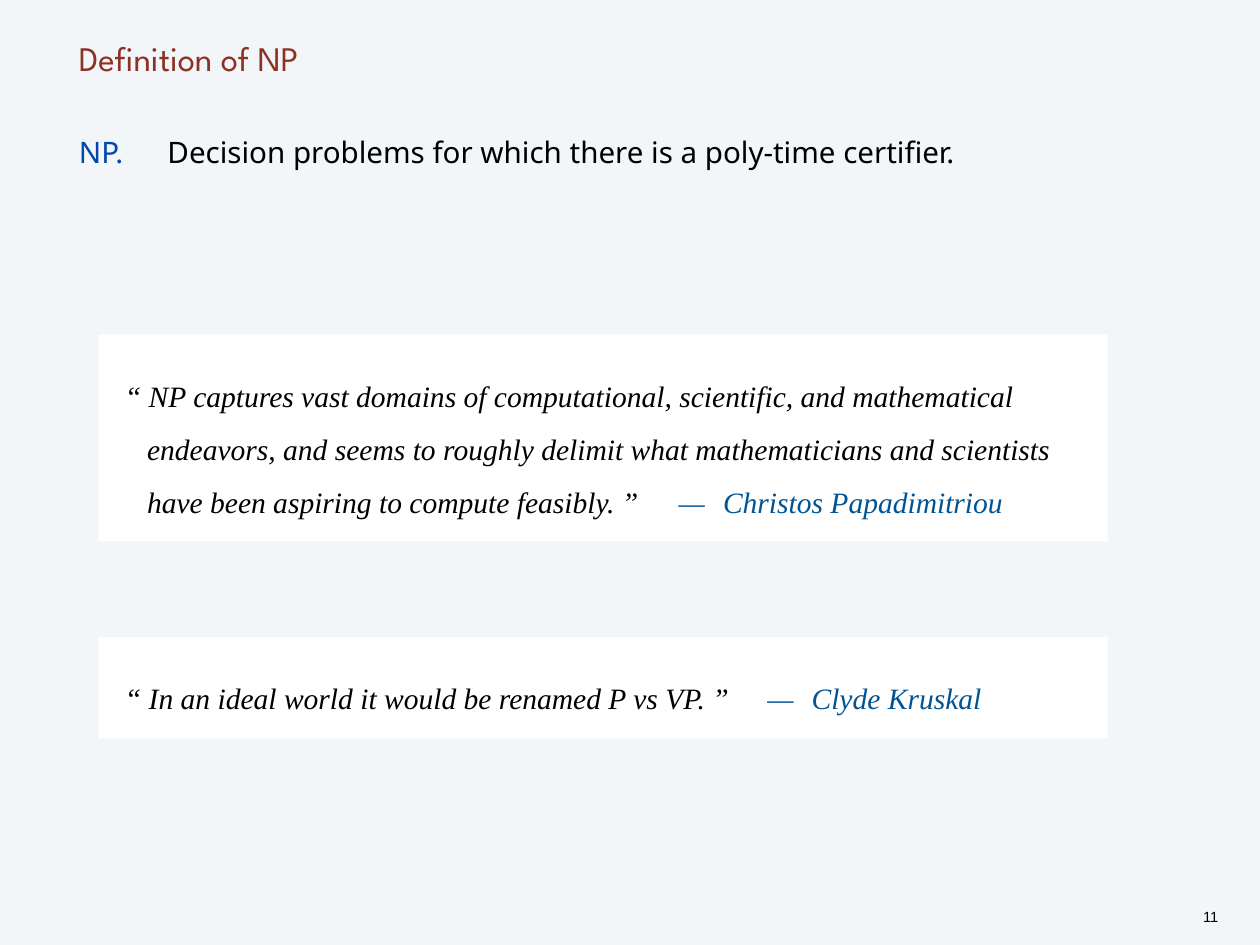
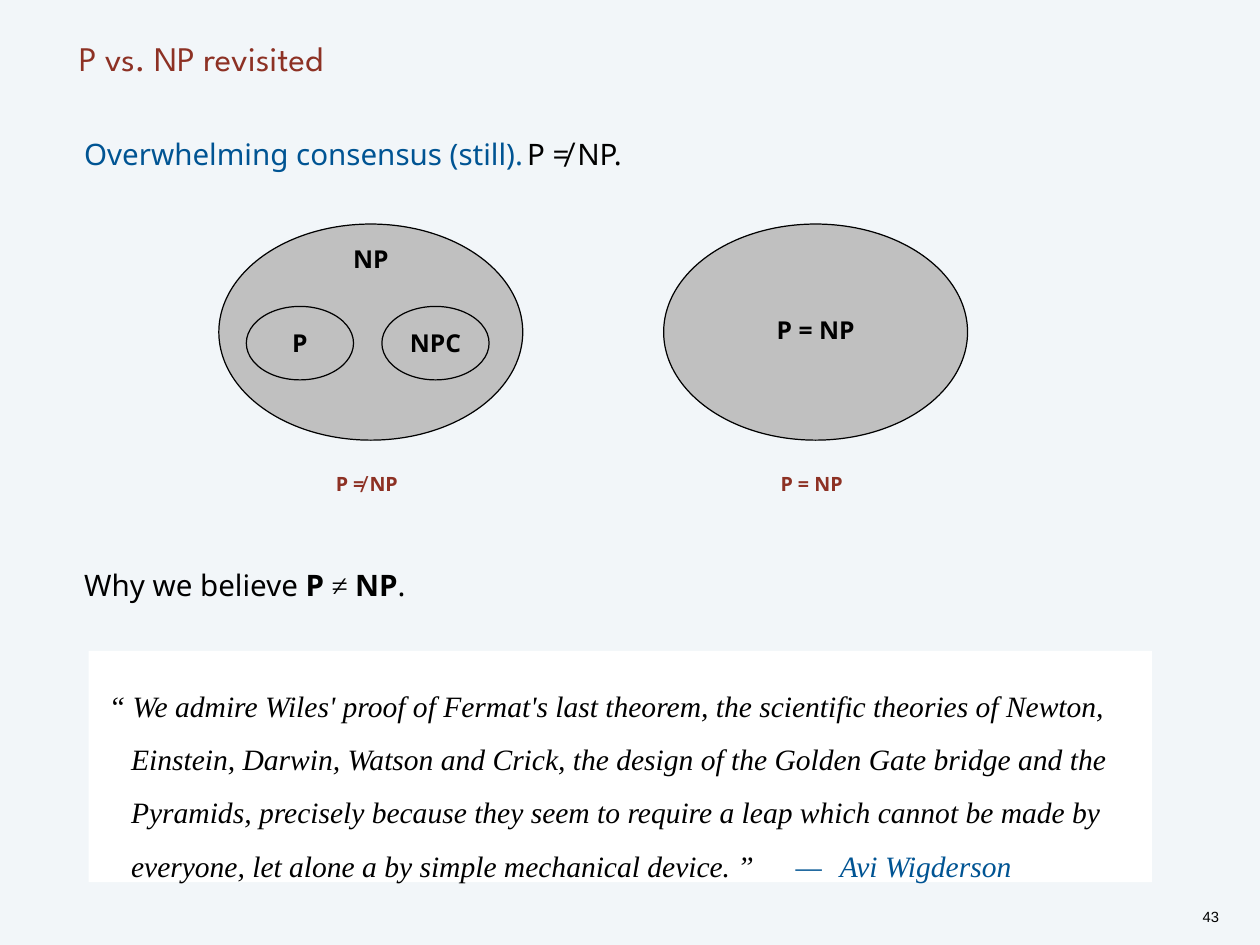
"""Build two lecture slides on the definition of NP and on P versus NP."""
from lxml.etree import SubElement
from pptx import Presentation
from pptx.dml.color import RGBColor
from pptx.enum.shapes import MSO_SHAPE
from pptx.enum.text import MSO_ANCHOR, PP_ALIGN
from pptx.oxml.ns import qn
from pptx.util import Inches, Pt

WIDTH, HEIGHT = 14.22, 10.67
MARGIN, CONTENT_WIDTH = 0.89, 12.44
BACKGROUND = RGBColor(0xF2, 0xF6, 0xF9)
BLACK = RGBColor(0, 0, 0)
WHITE = RGBColor(0xFF, 0xFF, 0xFF)
GRAY = RGBColor(0xC0, 0xC0, 0xC0)
RED = RGBColor(0x8D, 0x31, 0x24)
BLUE = RGBColor(0, 0x48, 0xAA)
TEAL = RGBColor(0, 0x54, 0x93)
SANS, SERIF = "Noto Sans", "Times New Roman"

SLIDES = [
    {
        "title": "Definition of NP",
        "number": "11",
        "body": [
            {"runs": [("NP.\t", {"color": BLUE}),
                      ("Decision problems for which there is a poly-time certifier.", {})],
             "spacing": Pt(38), "tabs": [0.66]},
        ],
        "quotes": [
            {"place": (1.11, 3.78, 11.39, 2.33), "inset": 0.29, "tab": 6.22,
             "lines": ["“ NP captures vast domains of computational, scientific, and mathematical",
                       "endeavors, and seems to roughly delimit what mathematicians and scientists",
                       "have been aspiring to compute feasibly. ”"],
             "author": "Christos Papadimitriou"},
            {"place": (1.11, 7.19, 11.39, 1.15), "inset": 0.29, "tab": 7.23,
             "lines": ["“ In an ideal world it would be renamed P vs VP. ”"],
             "author": "Clyde Kruskal"},
        ],
        "diagrams": [],
    },
    {
        "title": "P vs. NP revisited",
        "number": "43",
        "body": [
            {"runs": [("Overwhelming consensus (still).\t", {"color": TEAL}), ("P ≠ NP.", {})],
             "spacing": Pt(39), "indent": 0.06, "tabs": [5.17]},
            {"runs": [("Why we believe ", {}), ("P", {"bold": True}), (" ≠ ", {"font": SERIF}),
                      ("NP", {"bold": True}), (".", {})],
             "spacing": Pt(39), "indent": 0.06, "before": Pt(312)},
        ],
        "quotes": [
            {"place": (1, 7.35, 12, 2.61), "inset": 0.22, "tab": 7.96,
             "lines": ["“ We admire Wiles' proof of Fermat's last theorem, the scientific theories of Newton,",
                       "Einstein, Darwin, Watson and Crick, the design of the Golden Gate bridge and the",
                       "Pyramids, precisely because they seem to require a leap which cannot be made by",
                       "everyone, let alone a by simple mechanical device. ”"],
             "author": "Avi Wigderson"},
        ],
        "diagrams": [
            {"left": 2.47, "label": "NP", "label_top": 0.22, "inner": ["P", "NPC"], "caption": "P ≠ NP"},
            {"left": 7.49, "label": "P = NP", "label_top": 1.03, "inner": [], "caption": "P = NP"},
        ],
    },
]

CLASS_TOP, CLASS_WIDTH, CLASS_HEIGHT = 2.53, 3.43, 2.44
INNER_WIDTH, INNER_HEIGHT, INNER_PITCH = 1.21, 0.83, 1.53
INNER_OFFSET = (0.31, 0.93)
CAPTION_OFFSET = (1.26, 2.66)
ATTRIBUTION_GAP = 0.54


def write(paragraph, text, *, size, font=SANS, color=BLACK, bold=False, italic=False):
    """Add formatted text, turning each newline into a line break."""
    for index, line in enumerate(text.split("\n")):
        if index:
            paragraph.add_line_break()
        run = paragraph.add_run()
        run.text = line
        run.font.size, run.font.name = Pt(size), font
        run.font.bold, run.font.italic = bold, italic
        run.font.color.rgb = color


def set_layout(paragraph, *, align=PP_ALIGN.LEFT, spacing=None, before=None,
               indent=0, hanging=0, tabs=()):
    """Set alignment, spacing, indents and tab stops of a paragraph."""
    paragraph.alignment = align
    paragraph.line_spacing = spacing
    paragraph.space_before = before
    properties = paragraph._p.get_or_add_pPr()
    properties.set("marL", str(Inches(indent)))
    properties.set("indent", str(-Inches(hanging)))
    if tabs:
        tab_list = SubElement(properties, qn("a:tabLst"))
        for position in tabs:
            SubElement(tab_list, qn("a:tab"), pos=str(Inches(position)), algn="l")


def prepare_frame(shape, *, inset=0, anchor=MSO_ANCHOR.TOP, wrap=True):
    """Set the insets, anchor and wrapping of a shape's text."""
    frame = shape.text_frame
    frame.margin_left = frame.margin_right = frame.margin_top = frame.margin_bottom = Inches(inset)
    frame.vertical_anchor, frame.word_wrap = anchor, wrap
    return frame


def add_text(slide, place, text, *, inset=0, anchor=MSO_ANCHOR.TOP, wrap=True, layout=None, **style):
    """Add a text box holding one formatted paragraph."""
    box = slide.shapes.add_textbox(*map(Inches, place))
    paragraph = prepare_frame(box, inset=inset, anchor=anchor, wrap=wrap).paragraphs[0]
    set_layout(paragraph, **(layout or {}))
    write(paragraph, text, **style)


def add_filled(slide, kind, place, fill, line=None):
    """Add a flat preset shape with an optional one-point outline."""
    shape = slide.shapes.add_shape(kind, *map(Inches, place))
    shape.shadow.inherit = False
    shape.fill.solid()
    shape.fill.fore_color.rgb = fill
    if line is None:
        shape.line.fill.background()
    else:
        shape.line.color.rgb, shape.line.width = line, Pt(1)
    return shape


def add_body(slide, paragraphs):
    """Add the main text of a slide."""
    box = slide.shapes.add_textbox(*map(Inches, (MARGIN, 1.39, CONTENT_WIDTH, 8.94)))
    frame = prepare_frame(box)
    for index, content in enumerate(paragraphs):
        paragraph = frame.add_paragraph() if index else frame.paragraphs[0]
        set_layout(paragraph, **{key: value for key, value in content.items() if key != "runs"})
        for text, style in content["runs"]:
            write(paragraph, text, size=24, **style)


def add_quote(slide, quote):
    """Add a white panel with a quotation and its author."""
    panel = add_filled(slide, MSO_SHAPE.RECTANGLE, quote["place"], WHITE)
    paragraph = prepare_frame(panel, inset=quote["inset"]).paragraphs[0]
    set_layout(paragraph, spacing=1.5, indent=0.26, hanging=0.25,
               tabs=[quote["tab"], quote["tab"] + ATTRIBUTION_GAP])
    style = {"size": 24, "font": SERIF, "italic": True}
    write(paragraph, "\n".join(quote["lines"]), **style)
    write(paragraph, f"\t—\t{quote['author']}", color=TEAL, **style)


def add_diagram(slide, diagram):
    """Add an ellipse for a complexity class with its subsets and caption."""
    left = diagram["left"]
    label = {"size": 20, "bold": True}
    centered = {"align": PP_ALIGN.CENTER}
    add_filled(slide, MSO_SHAPE.OVAL, (left, CLASS_TOP, CLASS_WIDTH, CLASS_HEIGHT), GRAY, BLACK)
    add_text(slide, (left, CLASS_TOP + diagram["label_top"], CLASS_WIDTH, 0.38),
             diagram["label"], layout=centered, **label)
    for index, name in enumerate(diagram["inner"]):
        place = (left + INNER_OFFSET[0] + index * INNER_PITCH, CLASS_TOP + INNER_OFFSET[1],
                 INNER_WIDTH, INNER_HEIGHT)
        oval = add_filled(slide, MSO_SHAPE.OVAL, place, GRAY, BLACK)
        paragraph = prepare_frame(oval, anchor=MSO_ANCHOR.MIDDLE).paragraphs[0]
        set_layout(paragraph, **centered)
        write(paragraph, name, **label)
    add_text(slide, (left + CAPTION_OFFSET[0], CLASS_TOP + CAPTION_OFFSET[1], 0.96, 0.36),
             diagram["caption"], wrap=False, layout={"indent": 0.06, "spacing": 1.5},
             size=16, color=RED, bold=True)


def add_slide(presentation, content):
    """Add one slide with the shared title and page number."""
    slide = presentation.slides.add_slide(presentation.slide_layouts[6])
    add_text(slide, (MARGIN, 0, CONTENT_WIDTH, 0.89), content["title"], anchor=MSO_ANCHOR.BOTTOM,
             layout={"spacing": Pt(38)}, size=28, font="League Spartan", color=RED)
    add_body(slide, content["body"])
    add_text(slide, (13.51, 10.22, 0.31, 0.24), content["number"], inset=0.04, wrap=False,
             layout={"align": PP_ALIGN.CENTER, "spacing": Pt(14)}, size=12, font="Arial")
    for quote in content["quotes"]:
        add_quote(slide, quote)
    for diagram in content["diagrams"]:
        add_diagram(slide, diagram)


def main():
    """Build and save the presentation."""
    presentation = Presentation()
    presentation.slide_width, presentation.slide_height = Inches(WIDTH), Inches(HEIGHT)
    background = presentation.slide_master.background.fill
    background.solid()
    background.fore_color.rgb = BACKGROUND
    for content in SLIDES:
        add_slide(presentation, content)
    presentation.save("out.pptx")


if __name__ == "__main__":
    main()
